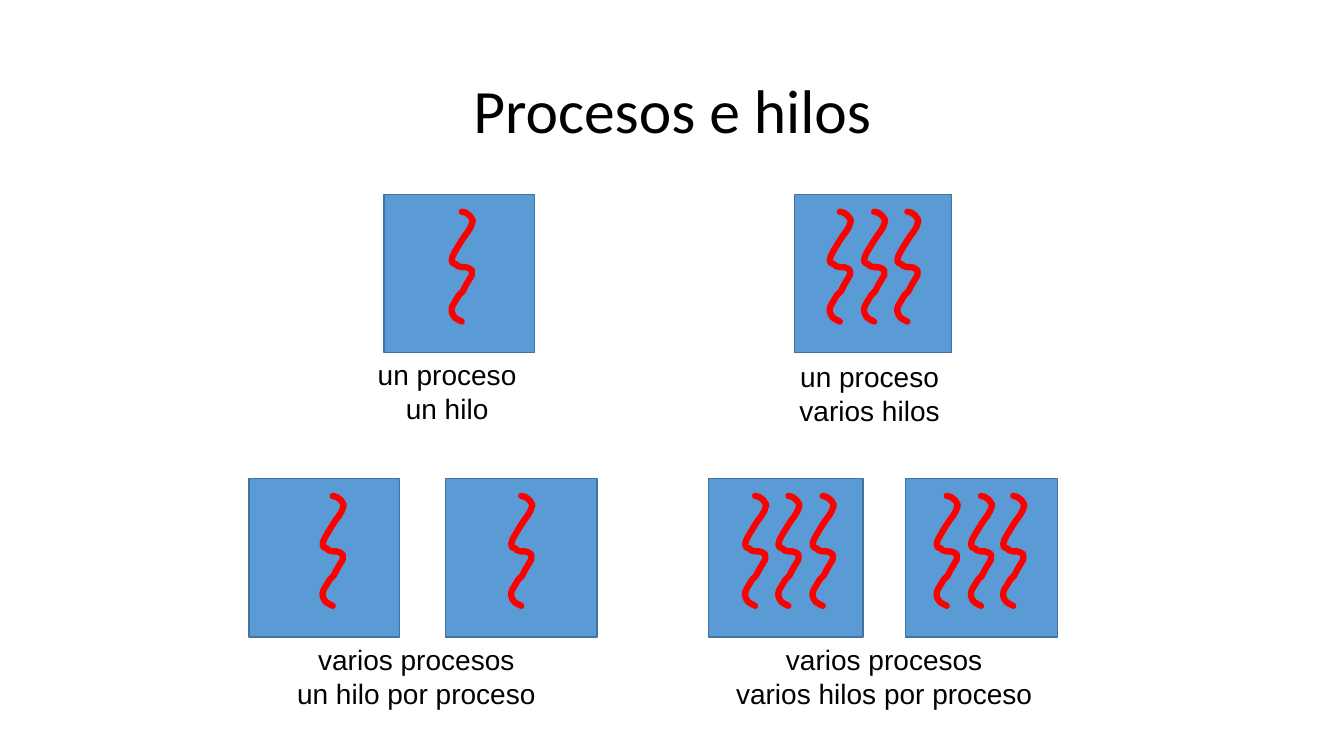
from lxml.etree import SubElement
from pptx import Presentation
from pptx.dml.color import RGBColor
from pptx.enum.shapes import MSO_SHAPE
from pptx.enum.text import MSO_ANCHOR, MSO_AUTO_SIZE, PP_ALIGN
from pptx.oxml.ns import qn
from pptx.util import Inches, Pt

# Outline of one thread, in hundredths of an inch from its top left corner
THREAD_POINTS = [
    (10, 0), (14, 1), (18, 4), (20, 7), (21, 9), (20, 12), (19, 15), (16, 20),
    (13, 24), (9, 30), (6, 35), (3, 40), (1, 44), (0, 48), (1, 51), (4, 52),
    (6, 54), (10, 55), (14, 55), (17, 56), (20, 58), (20, 60), (20, 63),
    (17, 68), (14, 73), (11, 79), (7, 83), (4, 88), (1, 93), (0, 96), (0, 99),
    (1, 102), (3, 105), (6, 107), (10, 109),
]
PROCESS_HEIGHT = 1.57
THREAD_INSET = 0.17


def color(hex_string):
    return RGBColor.from_string(hex_string)


class ProcessSlide:
    text_color = "000000"
    process_fill = "5B9BD5"
    process_line = "43739E"
    thread_color = "FF0000"

    def __init__(self, presentation):
        self.slide = presentation.slides.add_slide(presentation.slide_layouts[5])

    def format_paragraph(self, paragraph, font_name, size):
        paragraph.alignment = PP_ALIGN.CENTER
        paragraph.font.name = font_name
        paragraph.font.size = Pt(size)
        paragraph.font.color.rgb = color(self.text_color)

    def title(self, text, left, top, width, height):
        title = self.slide.shapes.title
        title.left, title.top = Inches(left), Inches(top)
        title.width, title.height = Inches(width), Inches(height)
        frame = title.text_frame
        frame.text = text
        frame.auto_size = MSO_AUTO_SIZE.NONE
        frame.vertical_anchor = MSO_ANCHOR.MIDDLE
        paragraph = frame.paragraphs[0]
        paragraph.line_spacing = 0.9
        self.format_paragraph(paragraph, "Calibri", 44)

    def process(self, left, top, width, thread_lefts):
        shape = self.slide.shapes.add_shape(
            MSO_SHAPE.RECTANGLE, Inches(left), Inches(top),
            Inches(width), Inches(PROCESS_HEIGHT))
        shape.shadow.inherit = False
        shape.fill.solid()
        shape.fill.fore_color.rgb = color(self.process_fill)
        shape.line.color.rgb = color(self.process_line)
        shape.line.width = Pt(1)
        for thread_left in thread_lefts:
            self.thread(thread_left, top + THREAD_INSET)

    def thread(self, left, top):
        points = [(left * 100 + x, top * 100 + y) for x, y in THREAD_POINTS]
        builder = self.slide.shapes.build_freeform(*points[0], scale=Inches(0.01))
        builder.add_line_segments(points[1:], close=False)
        shape = builder.convert_to_shape()
        shape.shadow.inherit = False
        shape.fill.background()
        shape.line.color.rgb = color(self.thread_color)
        shape.line.width = Pt(4.5)
        # Round ends and joins
        line = shape.line._get_or_add_ln()
        line.set("cap", "rnd")
        SubElement(line, qn("a:round"))

    def caption(self, lines, left, top, width):
        box = self.slide.shapes.add_textbox(
            Inches(left), Inches(top), Inches(width), Inches(0.77))
        frame = box.text_frame
        frame.word_wrap = True
        frame.auto_size = MSO_AUTO_SIZE.SHAPE_TO_FIT_TEXT
        frame.text = "\n".join(lines)
        for paragraph in frame.paragraphs:
            self.format_paragraph(paragraph, "Arial", 20)


presentation = Presentation()
presentation.slide_width = Inches(13.33)
presentation.slide_height = Inches(7.5)
page = ProcessSlide(presentation)
page.title("Procesos e hilos", 0.92, 0.4, 11.5, 1.45)

# Processes with their threads: left, top, width, left of each thread
TOP_ROW, BOTTOM_ROW = 1.93, 4.75
for process in [
    (3.81, TOP_ROW, 1.49, [4.48]),
    (7.88, TOP_ROW, 1.56, [8.23, 8.57, 8.9]),
    (2.47, BOTTOM_ROW, 1.49, [3.2]),
    (4.42, BOTTOM_ROW, 1.5, [5.07]),
    (7.03, BOTTOM_ROW, 1.53, [7.39, 7.72, 8.06]),
    (8.98, BOTTOM_ROW, 1.51, [9.29, 9.63, 9.95]),
]:
    page.process(*process)

# Captions under each case: lines, left, top, width
for caption in [
    (["un proceso", "un hilo"], 3.57, 3.5, 1.73),
    (["un proceso", "varios hilos"], 7.68, 3.52, 1.89),
    (["varios procesos", "un hilo por proceso"], 2.61, 6.33, 3.04),
    (["varios procesos", "varios hilos por proceso"], 6.91, 6.33, 3.72),
]:
    page.caption(*caption)

presentation.save("out.pptx")
